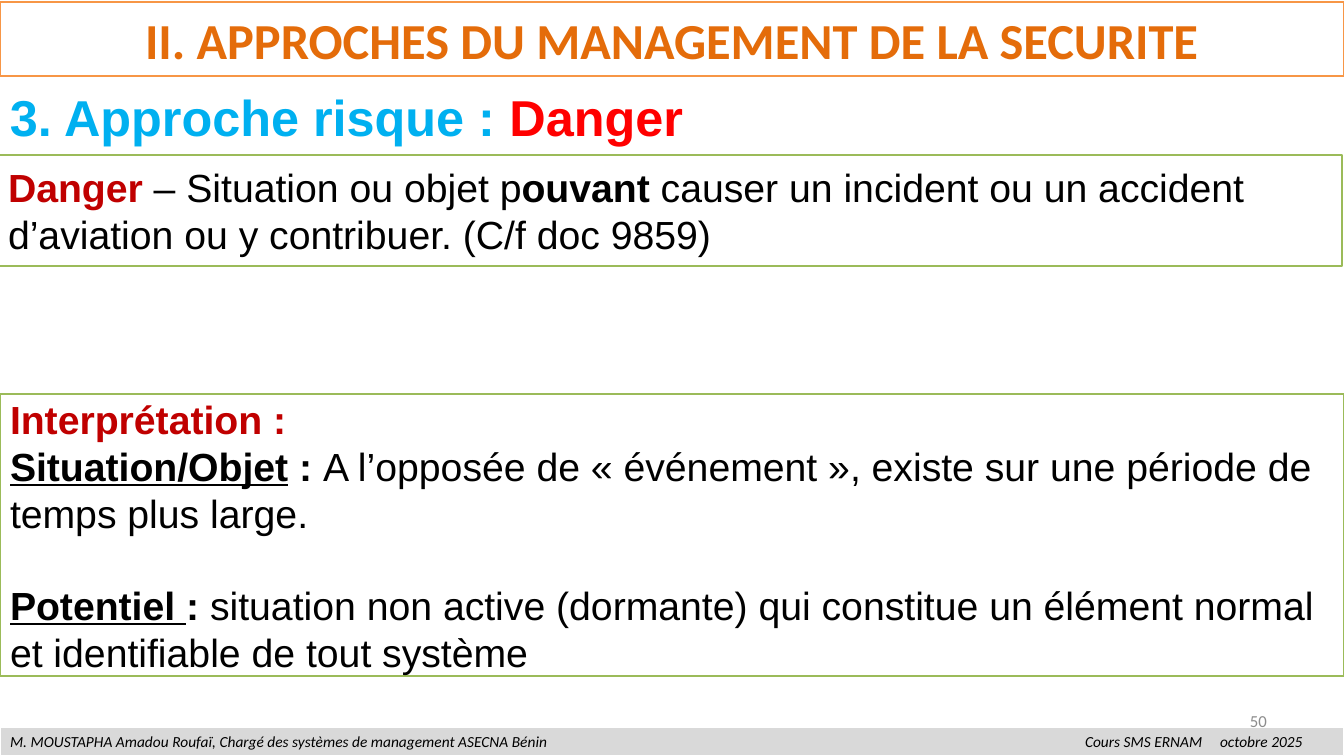
from dataclasses import dataclass

from lxml import etree
from pptx import Presentation
from pptx.dml.color import RGBColor
from pptx.enum.shapes import MSO_SHAPE
from pptx.enum.text import MSO_ANCHOR, MSO_AUTO_SIZE, PP_ALIGN
from pptx.oxml.ns import qn
from pptx.util import Emu, Pt

RECTANGLE = MSO_SHAPE.RECTANGLE
TOP, MIDDLE = MSO_ANCHOR.TOP, MSO_ANCHOR.MIDDLE
NO_AUTOFIT = MSO_AUTO_SIZE.NONE
LEFT, CENTER, RIGHT = PP_ALIGN.LEFT, PP_ALIGN.CENTER, PP_ALIGN.RIGHT


@dataclass(frozen=True)
class Theme:
    heading_font: str = "Calibri"
    body_font: str = "Arial"
    black: str = "000000"
    white: str = "FFFFFF"
    grey: str = "D9D9D9"
    number: str = "8C8C8C"
    green: str = "9BBB59"
    orange: str = "F79646"
    title: str = "E46C0A"
    blue: str = "00B0F0"
    red: str = "FF0000"
    dark_red: str = "C00000"
    title_size: int = 36
    body_size: int = 28
    number_size: int = 12
    footer_size: int = 11
    line: float = 2
    thin_line: float = 0.75


THEME = Theme()
PX = 9071
WIDTH, HEIGHT = 1344, 756
INSET, INSET_Y = 10, 5
FOOTER_TABS = (1075, 1210)
PARAGRAPH_GAP = 32

BOLD, UNDERLINED = "bold", "underlined"

TITLE = [[("II. APPROCHES DU MANAGEMENT DE LA SECURITE", THEME.title, BOLD)]]
SUBTITLE = [[("3. Approche risque : ", THEME.blue, BOLD), ("Danger", THEME.red, BOLD)]]
DEFINITION = [[
    ("Danger ", THEME.dark_red, BOLD),
    ("– Situation ou objet p", THEME.black),
    ("ouvant", THEME.black, BOLD),
    (" causer un incident ou un accident d’aviation ou y contribuer. (C/f doc 9859)", THEME.black),
]]
INTERPRETATION = [
    [("Interprétation :", THEME.dark_red, BOLD)],
    [
        ("Situation/Objet", THEME.black, BOLD, UNDERLINED),
        (" : ", THEME.black, BOLD),
        ("A l’opposée de «\u00a0événement\u00a0», existe sur une période de temps plus large.", THEME.black),
    ],
    [
        ("Potentiel ", THEME.black, BOLD, UNDERLINED),
        (": ", THEME.black, BOLD),
        ("situation non active (dormante) qui constitue un élément normal "
         "et identifiable de tout système", THEME.black),
    ],
]
FOOTER = [[(
    "M. MOUSTAPHA Amadou Roufaï, Chargé des systèmes de management ASECNA Bénin"
    "\tCours SMS ERNAM\toctobre 2025", THEME.black)]]
SLIDE_NUMBER = [[("50", THEME.number)]]


def px(value):
    return Emu(value * PX)


def color(value):
    return RGBColor.from_string(value)


def place(shape, left, top, width, height):
    shape.left, shape.top = px(left), px(top)
    shape.width, shape.height = px(width), px(height)


def paint(shape, fill, line, line_width):
    shape.fill.solid()
    shape.fill.fore_color.rgb = color(fill)
    shape.line.color.rgb = color(line)
    shape.line.width = Pt(line_width)


def add_tabs(paragraph, positions):
    tabs = etree.SubElement(paragraph._p.get_or_add_pPr(), qn("a:tabLst"))
    for position in positions:
        etree.SubElement(tabs, qn("a:tab"), pos=str(px(position)), algn="l")


def write(shape, paragraphs, font, size, anchor=MIDDLE, align=LEFT, italic=False, tabs=()):
    frame = shape.text_frame
    frame.word_wrap = True
    frame.auto_size = NO_AUTOFIT
    frame.vertical_anchor = anchor
    frame.margin_left = frame.margin_right = px(INSET)
    frame.margin_top = frame.margin_bottom = px(INSET_Y)
    for index, pieces in enumerate(paragraphs):
        paragraph = frame.add_paragraph() if index else frame.paragraphs[0]
        paragraph.alignment = align
        if tabs:
            add_tabs(paragraph, tabs)
        paragraph.font.name = font
        paragraph.font.size = Pt(size)
        paragraph.font.italic = italic
        for text, text_color, *styles in pieces:
            run = paragraph.add_run()
            run.text = text
            run.font.color.rgb = color(text_color)
            run.font.bold = BOLD in styles
            run.font.underline = UNDERLINED in styles


def add_panel(slide, box, fill, line, line_width):
    panel = slide.shapes.add_shape(RECTANGLE, *map(px, box))
    panel.shadow.inherit = False
    paint(panel, fill, line, line_width)
    return panel


def main():
    presentation = Presentation()
    presentation.slide_width, presentation.slide_height = px(WIDTH), px(HEIGHT)
    slide = presentation.slides.add_slide(presentation.slide_layouts[5])

    title = slide.shapes.title
    place(title, 0, 2, WIDTH, 74)
    paint(title, THEME.white, THEME.orange, THEME.line)
    write(title, TITLE, THEME.heading_font, THEME.title_size, align=CENTER)

    footer = add_panel(slide, (0, 727, WIDTH, 29), THEME.grey, THEME.white, THEME.thin_line)
    write(footer, FOOTER, THEME.heading_font, THEME.footer_size, TOP, italic=True, tabs=FOOTER_TABS)

    number = slide.shapes.add_textbox(*map(px, (964, 701, 313, 40)))
    write(number, SLIDE_NUMBER, THEME.heading_font, THEME.number_size, align=RIGHT)

    for box, content in (
        ((-2, 155, WIDTH, 111), DEFINITION),
        ((0, 394, WIDTH, 282), INTERPRETATION),
    ):
        panel = add_panel(slide, box, THEME.white, THEME.green, THEME.line)
        write(panel, content, THEME.body_font, THEME.body_size)
    panel.text_frame.paragraphs[-1].space_before = Pt(PARAGRAPH_GAP)

    subtitle = slide.shapes.add_textbox(*map(px, (0, 81, 728, 71)))
    write(subtitle, SUBTITLE, THEME.body_font, THEME.title_size, TOP)

    presentation.save("out.pptx")


if __name__ == "__main__":
    main()
